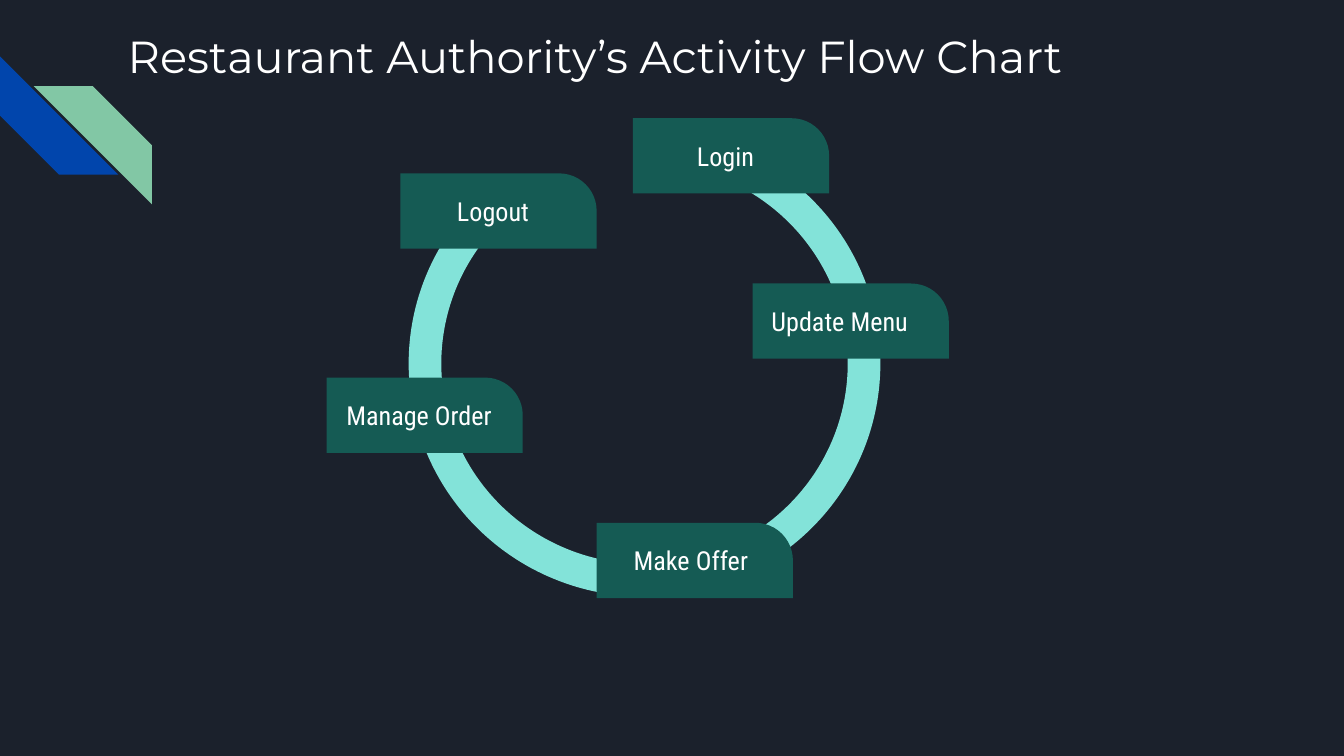
from pptx import Presentation
from pptx.dml.color import RGBColor
from pptx.enum.shapes import MSO_SHAPE
from pptx.enum.text import MSO_ANCHOR, PP_ALIGN
from pptx.oxml.ns import qn
from pptx.util import Inches, Pt

THEME = {
    "background": "1B212C", "blue": "0145AC", "green": "82C7A5",
    "ring": "83E3D9", "step": "155B54", "text": "FFFFFF",
    "title_font": "Montserrat", "title_size": Pt(24),
    "step_font": "Roboto Condensed", "step_size": Pt(14),
}
CELL = Inches(0.1)  # square grid: 100 columns by 56.25 rows


def add_box(kind, col, row, cols, rows, color, adjustments):
    sp = slide.shapes.add_shape(
        kind, *(round(n * CELL) for n in (col, row, cols, rows)))
    sp.shadow.inherit = False
    sp.fill.solid()
    sp.fill.fore_color.rgb = RGBColor.from_string(THEME[color])
    sp.line.fill.background()
    for i, value in enumerate(adjustments):
        sp.adjustments[i] = value
    return sp


def set_text(tf, text, style, align):
    tf.word_wrap = True
    p = tf.paragraphs[0]
    p.text = text
    p.alignment = align
    p.font.name = THEME[style + "_font"]
    p.font.size = THEME[style + "_size"]
    p.font.color.rgb = RGBColor.from_string(THEME["text"])


prs = Presentation()
prs.slide_width, prs.slide_height = 100 * CELL, round(56.25 * CELL)
slide = prs.slides.add_slide(prs.slide_layouts[5])
slide.background.fill.solid()
slide.background.fill.fore_color.rgb = RGBColor.from_string(THEME["background"])

# Corner stripes
stripe = add_box(MSO_SHAPE.DIAGONAL_STRIPE, 0, 4.2, 8.8, 8.8, "blue", [0.5])
stripe.rotation = 270
stripe = add_box(MSO_SHAPE.DIAGONAL_STRIPE, 2.5, 6.4, 8.8, 8.8, "green", [0.5])
stripe._element.spPr.find(qn("a:xfrm")).set("flipH", "1")

# Title
title = slide.shapes.title
title.left, title.top, title.width, title.height = (
    round(n * CELL) for n in (8.5, 1.1, 89.5, 16.3))
tf = title.text_frame
tf.margin_left = tf.margin_right = tf.margin_top = tf.margin_bottom = CELL
tf.vertical_anchor = MSO_ANCHOR.TOP
set_text(tf, "Restaurant Authority’s Activity Flow Chart", "title", PP_ALIGN.LEFT)

# Open ring behind the steps
ring = add_box(MSO_SHAPE.BLOCK_ARC, 30.4, 9.7, 35.1, 34.7, "ring",
               [54, 30.13, 0.07])
ring.rotation = 180

# Steps: label, column, row, alignment, left inset in cells
STEPS = [
    ("Logout", 29.8, 12.9, PP_ALIGN.CENTER, 1),
    ("Manage Order", 24.3, 28.1, PP_ALIGN.CENTER, 1),
    ("Make Offer", 44.4, 38.9, PP_ALIGN.LEFT, 2.75),
    ("Update Menu", 56, 21.1, PP_ALIGN.LEFT, 1.4),
    ("Login", 47.1, 8.8, PP_ALIGN.CENTER, 1),
]
for label, col, row, align, inset in STEPS:
    sp = add_box(MSO_SHAPE.ROUND_1_RECTANGLE, col, row, 14.6, 5.6, "step", [0.5])
    tf = sp.text_frame
    tf.margin_right = tf.margin_top = tf.margin_bottom = CELL
    tf.margin_left = round(inset * CELL)
    tf.vertical_anchor = MSO_ANCHOR.MIDDLE
    set_text(tf, label, "step", align)

prs.save("out.pptx")
